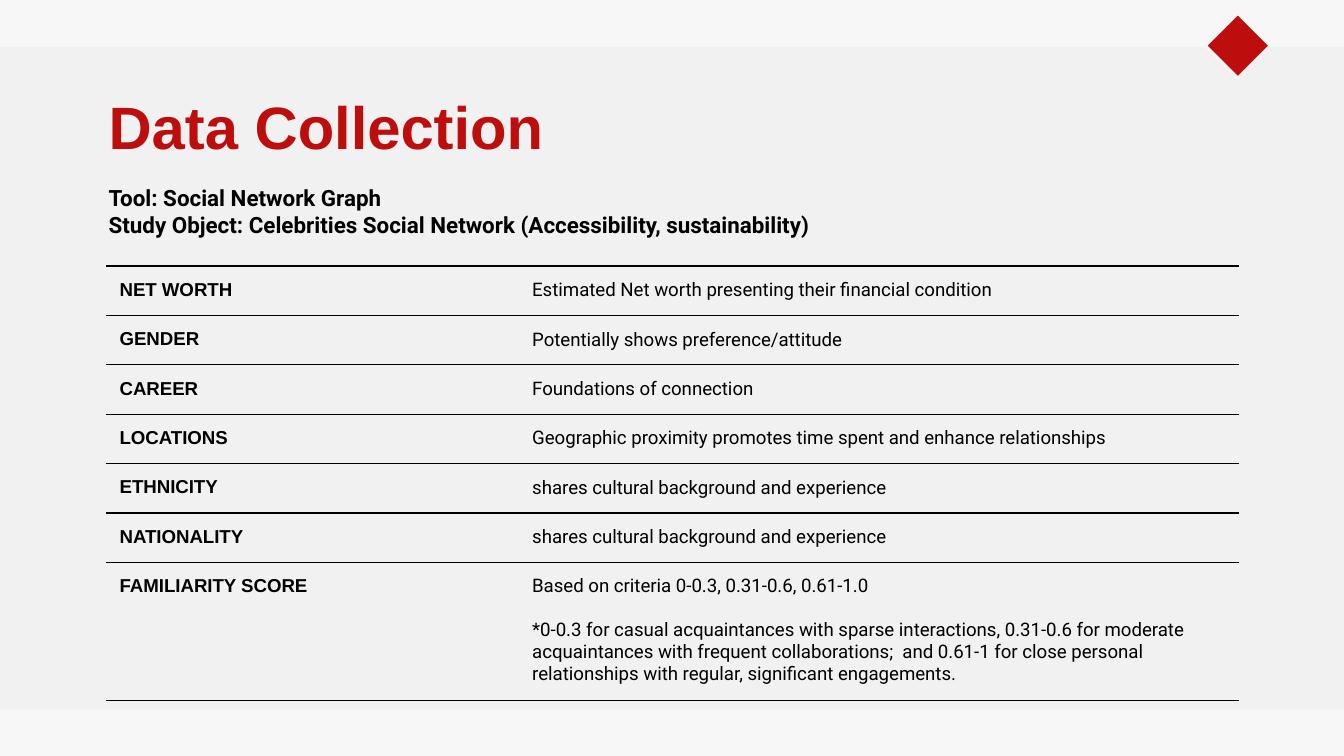
from dataclasses import dataclass

from lxml.etree import SubElement
from pptx import Presentation
from pptx.dml.color import RGBColor
from pptx.enum.shapes import MSO_SHAPE
from pptx.oxml.ns import qn
from pptx.slide import Slide
from pptx.table import _Cell
from pptx.util import Inches, Pt

BACKGROUND = RGBColor(0xF7, 0xF7, 0xF7)
PANEL = RGBColor(0xF1, 0xF1, 0xF1)
RED = RGBColor(0xBD, 0x0D, 0x0D)
BLACK = RGBColor(0x00, 0x00, 0x00)


@dataclass(frozen=True)
class TextStyle:
    font_name: str
    size: float
    color: RGBColor = BLACK
    bold: bool = False


@dataclass(frozen=True)
class Attribute:
    name: str
    details: tuple[str, ...]


TITLE = TextStyle("Arial", 32, RED, True)
SUBTITLE = TextStyle("Roboto", 12, bold=True)
LABEL = TextStyle("Arial", 10, bold=True)
DETAIL = TextStyle("Roboto", 10)

ATTRIBUTES = (
    Attribute("NET WORTH", ("Estimated Net worth presenting their financial condition",)),
    Attribute("GENDER", ("Potentially shows preference/attitude",)),
    Attribute("CAREER", ("Foundations of connection",)),
    Attribute("LOCATIONS", ("Geographic proximity promotes time spent and enhance relationships",)),
    Attribute("ETHNICITY", ("shares cultural background and experience",)),
    Attribute("NATIONALITY", ("shares cultural background and experience",)),
    Attribute(
        "FAMILIARITY SCORE",
        (
            "Based on criteria 0-0.3, 0.31-0.6, 0.61-1.0",
            "*0-0.3 for casual acquaintances with sparse interactions, 0.31-0.6 for moderate "
            "acquaintances with frequent collaborations;  and 0.61-1 for close personal "
            "relationships with regular, significant engagements.",
        ),
    ),
)
COLUMN_WIDTHS = (3.07, 5.36)
ROW_HEIGHT = 0.27


def write_paragraphs(text_frame, lines: tuple[str, ...], style: TextStyle, gap: float = 0) -> None:
    for index, line in enumerate(lines):
        paragraph = text_frame.add_paragraph() if index else text_frame.paragraphs[0]
        paragraph.text = line
        if index and gap:
            paragraph.space_before = Pt(gap)
        paragraph.font.name = style.font_name
        paragraph.font.size = Pt(style.size)
        paragraph.font.bold = style.bold
        paragraph.font.color.rgb = style.color


def add_text(slide: Slide, top: float, lines: tuple[str, ...], style: TextStyle) -> None:
    box = slide.shapes.add_textbox(Inches(0.71), Inches(top), Inches(8.43), Inches(0.63))
    text_frame = box.text_frame
    text_frame.word_wrap = True
    text_frame.margin_left = text_frame.margin_right = Inches(0.1)
    text_frame.margin_top = text_frame.margin_bottom = Inches(0.1)
    write_paragraphs(text_frame, lines, style)


def add_shape(slide: Slide, kind: MSO_SHAPE, left: float, top: float, width: float,
              height: float, fill: RGBColor):
    shape = slide.shapes.add_shape(kind, Inches(left), Inches(top), Inches(width), Inches(height))
    shape.shadow.inherit = False
    shape.fill.solid()
    shape.fill.fore_color.rgb = fill
    shape.line.fill.background()
    return shape


def set_borders(cell: _Cell) -> None:
    properties = cell._tc.get_or_add_tcPr()
    for side in ("L", "R", "T", "B"):
        line = SubElement(properties, qn(f"a:ln{side}"), w=str(Pt(0.75)))
        if side in "LR":
            SubElement(line, qn("a:noFill"))
        else:
            fill = SubElement(line, qn("a:solidFill"))
            SubElement(fill, qn("a:srgbClr"), val=str(BLACK))


def fill_cell(cell: _Cell, lines: tuple[str, ...], style: TextStyle) -> None:
    cell.margin_left = cell.margin_right = Inches(0.1)
    cell.margin_top = cell.margin_bottom = Inches(0.1)
    set_borders(cell)
    cell.fill.background()
    write_paragraphs(cell.text_frame, lines, style, gap=11.7)


def add_attribute_table(slide: Slide) -> None:
    frame = slide.shapes.add_table(
        len(ATTRIBUTES), len(COLUMN_WIDTHS),
        Inches(0.79), Inches(1.98),
        Inches(sum(COLUMN_WIDTHS)), Inches(ROW_HEIGHT * len(ATTRIBUTES)),
    )
    table = frame.table
    table.first_row = table.horz_banding = False
    for column, width in zip(table.columns, COLUMN_WIDTHS):
        column.width = Inches(width)
    for row, attribute in zip(table.rows, ATTRIBUTES):
        row.height = Inches(ROW_HEIGHT)
        fill_cell(row.cells[0], (attribute.name,), LABEL)
        fill_cell(row.cells[1], attribute.details, DETAIL)


def main() -> None:
    presentation = Presentation()
    presentation.slide_width = Inches(10)
    presentation.slide_height = Inches(10 * 9 / 16)
    slide = presentation.slides.add_slide(presentation.slide_layouts[6])
    slide.background.fill.solid()
    slide.background.fill.fore_color.rgb = BACKGROUND

    add_shape(slide, MSO_SHAPE.RECTANGLE, 0, 0.35, 10, 4.93, PANEL)
    diamond = add_shape(slide, MSO_SHAPE.DIAMOND, 8.97, 0.1, 0.48, 0.48, RED)
    diamond.line.color.rgb = BACKGROUND
    diamond.line.width = Pt(1.5)

    add_text(slide, 0.57, ("Data Collection",), TITLE)
    add_text(
        slide, 1.27,
        (
            "Tool: Social Network Graph",
            "Study Object: Celebrities Social Network (Accessibility, sustainability)",
        ),
        SUBTITLE,
    )
    add_attribute_table(slide)
    presentation.save("out.pptx")


if __name__ == "__main__":
    main()
